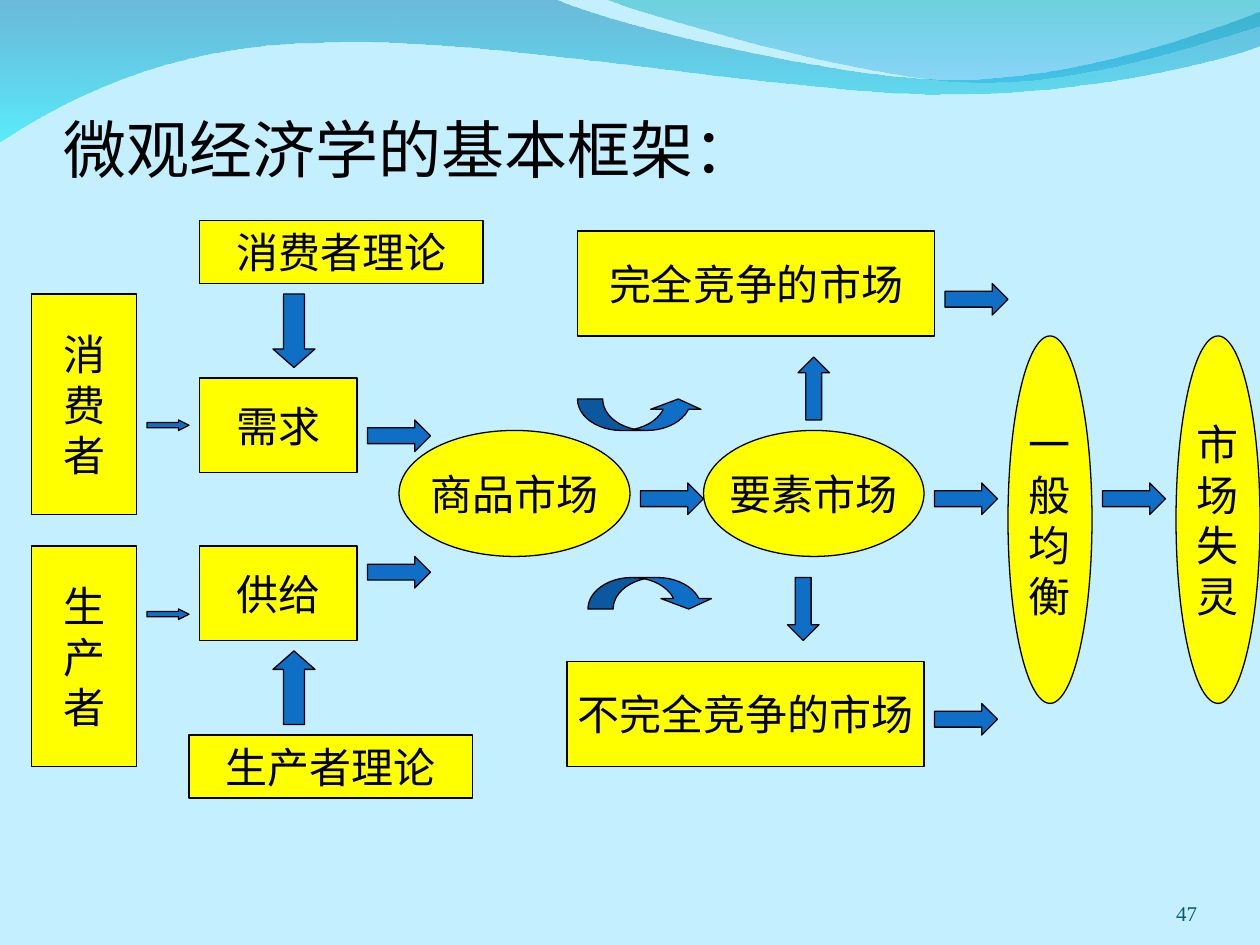
import pptx
import pptx.util
import pptx.dml.color
import pptx.enum.shapes
import pptx.enum.text
import pptx.oxml
import pptx.oxml.ns

Pt = pptx.util.Pt
KIND = pptx.enum.shapes.MSO_SHAPE
ALIGN = pptx.enum.text.PP_ALIGN
ANCHOR = pptx.enum.text.MSO_ANCHOR
COLORS = {
    "sky": "C4EFFF", "box": "FFFF00", "arrow": "0F6FC6", "ink": "000000",
    "page": "045C75", "deep": "0079AF", "aqua": "00EBF8",
    "teal": "00ADB6", "blue": "009BE5",
}

# Wave outlines: one pair is a corner, three pairs are a Bezier curve
BAND = [
    [(0, -0.7)], [(316.8, -0.7)],
    [(342.7, 12.2), (478, 45.4), (545.8, 45.4)],
    [(614.2, 45.4), (689.8, 18.7), (720, 6.5)],
    [(720.7, 25.9)],
    [(707.8, 31.7), (626.4, 54.7), (537, 54)],
    [(447.8, 54), (275, 20.2), (185, 24.5)],
    [(92.9, 25.2), (33, 59.8), (-0.7, 81.4)],
]
CREST = [
    [(344.9, -0.7)],
    [(366.5, 7.9), (491, 44.6), (553.7, 46.8)],
    [(616.3, 49.7), (692, 23), (720, 15)],
    [(720, 0)],
]

# Labelled shapes: text, left, top, width, height
RECTS = [
    ("供给", 114, 312, 90, 54),
    ("需求", 114, 216, 90, 54),
    ("消\n费\n者", 18, 168, 60, 126),
    ("生\n产\n者", 18, 312, 60, 126),
    ("完全竞争的市场", 330, 132, 204, 60),
    ("不完全竞争的市场", 324, 378, 204, 60),
    ("消费者理论", 114, 126, 162, 36),
    ("生产者理论", 108, 420, 162, 36),
]
OVALS = [
    ("商品市场", 228, 246, 132, 72),
    ("要素市场", 402, 246, 126, 72),
    ("一\n般\n均\n衡", 576, 192, 48, 210),
    ("市\n场\n失\n灵", 672, 192, 48, 210),
]

# Arrows by form: preset, width, height, adjustments, places
ARROWS = [
    (KIND.RIGHT_ARROW, 24, 6, (0.5, 1), [(84, 240), (84, 348)]),
    (KIND.RIGHT_ARROW, 36, 18, (0.5, 0.5), [
        (210, 240), (210, 318), (366, 276), (534, 276), (630, 276),
        (540, 162), (534, 402)]),
    (KIND.DOWN_ARROW, 24, 42, (0.5, 0.44), [(156, 168)]),
    (KIND.UP_ARROW, 24, 42, (0.5, 0.44), [(156, 372)]),
    (KIND.UP_ARROW, 18, 36, (0.5, 0.5), [(456, 204)]),
    (KIND.DOWN_ARROW, 18, 36, (0.5, 0.5), [(450, 330)]),
    (KIND.CURVED_UP_ARROW, 72, 18, (0.8, 1.6, 0.33), [(330, 228)]),
    (KIND.CURVED_DOWN_ARROW, 72, 18, (0.8, 1.6, 0.33), [(336, 330)]),
]


def tint(name):
    return pptx.dml.color.RGBColor.from_string(COLORS[name])


def make(tag, attrs=""):
    """Make an empty drawing element."""
    space = pptx.oxml.ns.nsdecls("a")
    return pptx.oxml.parse_xml(f"<a:{tag} {space} {attrs}/>")


def bend_lines(wave, parts):
    """Join the three lines that stand for each curve into one curve."""
    lines = iter(list(wave.element.iter(pptx.oxml.ns.qn("a:lnTo"))))
    for part in parts[1:]:
        group = [next(lines) for _ in part]
        if len(group) == 3:
            curve = make("cubicBezTo")
            group[0].addprevious(curve)
            for line in group:
                curve.append(line[0])
                line.getparent().remove(line)


def add_wave(slide, parts, stops):
    """Draw a wave that shades downward; stops are (colour, opacity %)."""
    dots = [(x * 100, y * 100) for part in parts for x, y in part]
    form = slide.shapes.build_freeform(*dots[0], scale=Pt(1) / 100)
    form.add_line_segments(dots[1:], close=True)
    wave = form.convert_to_shape()
    bend_lines(wave, parts)
    wave.shadow.inherit = False
    wave.line.fill.background()
    wave.fill.gradient()
    wave.fill.gradient_angle = 270
    for stop, (name, _) in zip(wave.fill.gradient_stops, stops):
        stop.color.rgb = tint(name)
    tag = pptx.oxml.ns.qn("a:srgbClr")
    for node, (_, part) in zip(wave.element.spPr.iter(tag), stops):
        node.append(make("alpha", f'val="{part * 1000}"'))


def write(frame, text, size, font, color, align):
    """Write one paragraph for each line of text."""
    for i, line in enumerate(text.split("\n")):
        para = frame.add_paragraph() if i else frame.paragraphs[0]
        para.alignment = align
        run = para.add_run()
        run.text = line
        run.font.size = Pt(size)
        run.font.name = font
        run.font.color.rgb = tint(color)


def add_shape(slide, kind, area, fill):
    shape = slide.shapes.add_shape(kind, *map(Pt, area))
    shape.shadow.inherit = False
    shape.fill.solid()
    shape.fill.fore_color.rgb = tint(fill)
    shape.line.color.rgb = tint("ink")
    shape.line.width = Pt(0.75)
    return shape


def add_node(slide, kind, text, *area):
    frame = add_shape(slide, kind, area, "box").text_frame
    frame.word_wrap = False
    frame.vertical_anchor = ANCHOR.MIDDLE
    write(frame, text, 24, "Times New Roman", "ink", ALIGN.CENTER)


def add_arrow(slide, kind, area, bends):
    arrow = add_shape(slide, kind, area, "arrow")
    for i, bend in enumerate(bends):
        arrow.adjustments[i] = bend


def add_text(slide, text, area, top, *style):
    frame = slide.shapes.add_textbox(*map(Pt, area)).text_frame
    frame.word_wrap = True
    frame.vertical_anchor = ANCHOR.BOTTOM
    frame.margin_left = frame.margin_right = frame.margin_bottom = 0
    frame.margin_top = Pt(top)
    write(frame, text, *style)


def main():
    deck = pptx.Presentation()
    deck.slide_width, deck.slide_height = Pt(720), Pt(540)
    slide = deck.slides.add_slide(deck.slide_layouts[6])
    slide.background.fill.solid()
    slide.background.fill.fore_color.rgb = tint("sky")

    # Waves along the top
    add_wave(slide, BAND, [("deep", 45), ("aqua", 55)])
    add_wave(slide, CREST, [("teal", 45), ("blue", 30)])

    # Title
    add_text(slide, "微观经济学的基本框架：", (36.3, 52.5, 612, 54), 3.6,
             36, "Calibri", "ink", ALIGN.LEFT)

    # Flow chart
    for kind, nodes in ((KIND.RECTANGLE, RECTS), (KIND.OVAL, OVALS)):
        for node in nodes:
            add_node(slide, kind, *node)
    for kind, wide, high, bends, spots in ARROWS:
        for x, y in spots:
            add_arrow(slide, kind, (x, y, wide, high), bends)

    # Page number
    add_text(slide, "47", (624, 500.3, 60, 28.8), 0,
             12, "Times New Roman", "page", ALIGN.RIGHT)
    deck.save("out.pptx")


if __name__ == "__main__":
    main()
